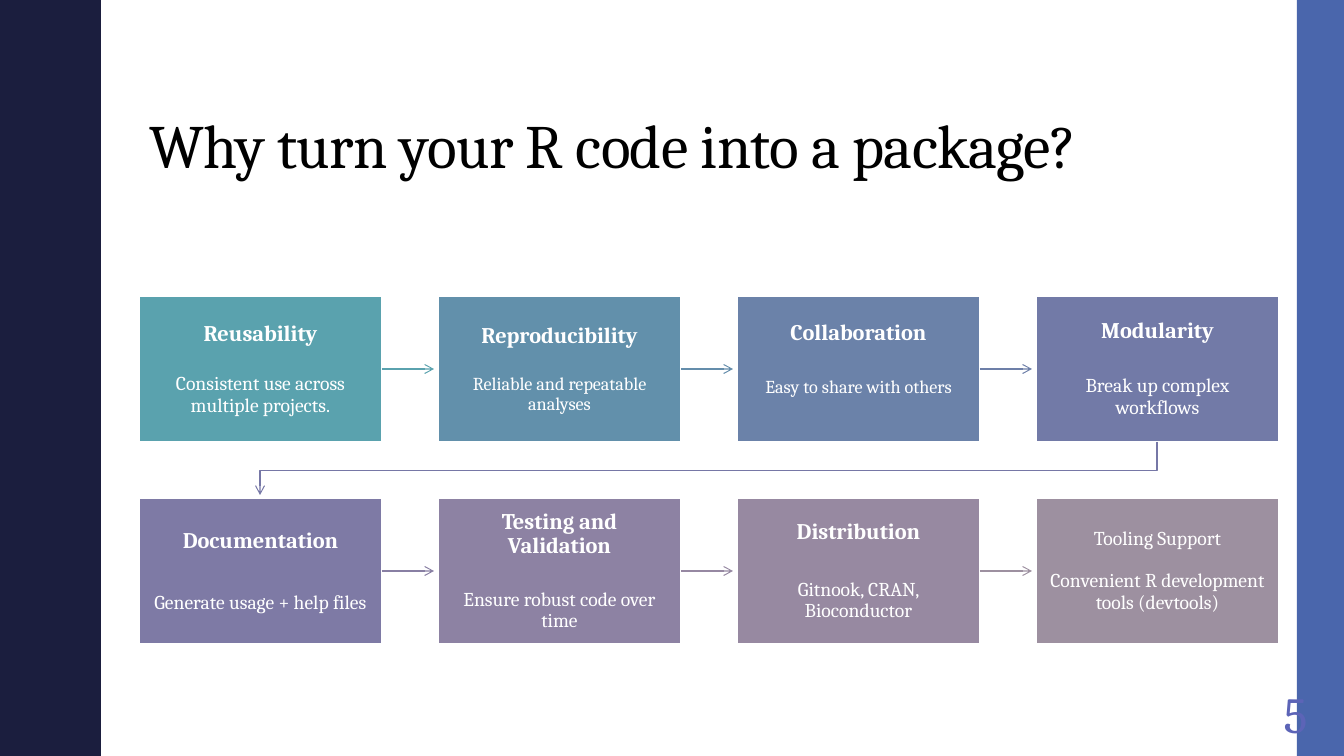
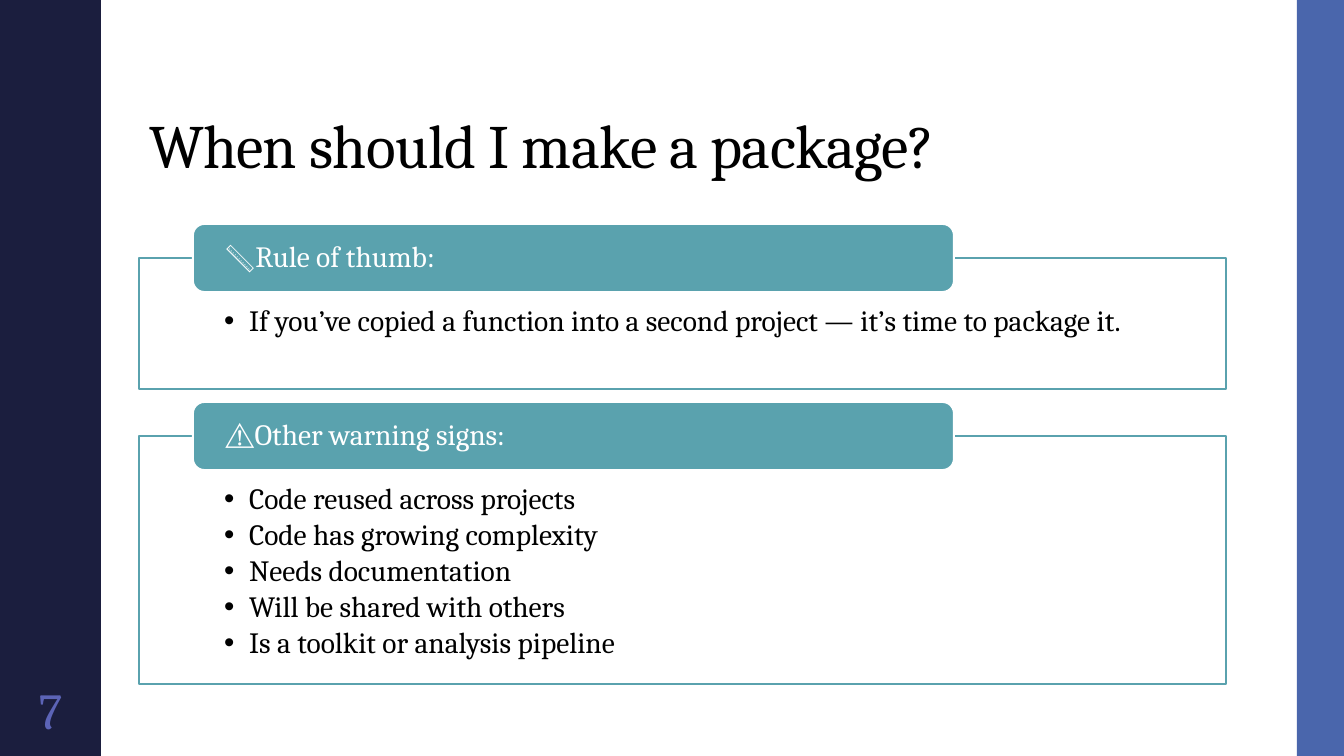
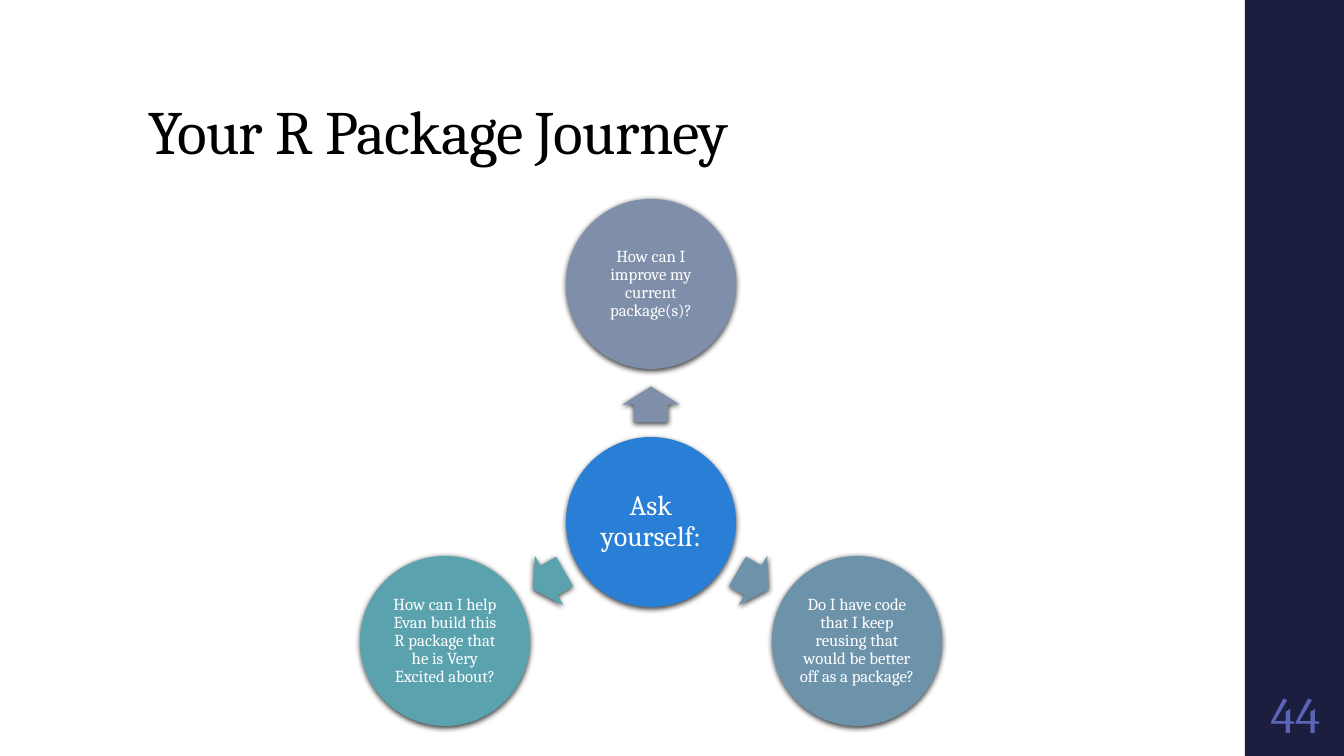
import math

import pptx
import pptx.dml.color
import pptx.enum.shapes
import pptx.enum.text
import pptx.oxml
import pptx.oxml.ns
import pptx.util

SHAPE = pptx.enum.shapes.MSO_SHAPE
ANCHOR = pptx.enum.text.MSO_ANCHOR
ALIGN = pptx.enum.text.PP_ALIGN
PX = 914400 / 100.8  # EMU in one px

WHITE, BLACK = "FFFFFF", "000000"
NAVY, BLUE, TEAL, VIOLET = "1B1E3E", "4A66AC", "5AA2AE", "5C64B7"
WIDTH, HEIGHT = 1344, 756


def emu(px):
    return pptx.util.Emu(round(px * PX))


def color(hex_string):
    return pptx.dml.color.RGBColor.from_string(hex_string)


def element(tag, inner="", **attributes):
    settings = " ".join(f'{name}="{value}"' for name, value in attributes.items())
    namespace = pptx.oxml.ns.nsdecls("a")
    return pptx.oxml.parse_xml(f"<a:{tag} {namespace} {settings}>{inner}</a:{tag}>")


class Deck:
    """Holds the shared style and the slide being built."""

    font = "Cambria"
    spacing = 0.9

    def __init__(self):
        self.presentation = pptx.Presentation()
        self.presentation.slide_width = emu(WIDTH)
        self.presentation.slide_height = emu(HEIGHT)
        self.slide = None

    def new_slide(self, title, title_box):
        self.slide = self.presentation.slides.add_slide(self.presentation.slide_layouts[6])
        frame = self.text_box(*title_box, insets=(10, 5, 10, 5), anchor=ANCHOR.BOTTOM)
        run = self.paragraph(frame, title, 44, BLACK, align=ALIGN.LEFT)
        run.font._element.set("spc", "-50")

    def side_bands(self):
        self.shape(SHAPE.RECTANGLE, 0, 0, 101, HEIGHT, NAVY)
        self.shape(SHAPE.RECTANGLE, 1297, 0, WIDTH - 1297, HEIGHT, BLUE)

    def number(self, text, left, spacing=1.0):
        frame = self.text_box(left, 680, 101, 66, insets=(5, 5, 5, 5))
        self.paragraph(frame, text, 36, VIOLET, spacing=spacing)

    def shape(self, kind, left, top, width, height, fill, line=None, line_width=1.35):
        shape = self.slide.shapes.add_shape(kind, emu(left), emu(top), emu(width), emu(height))
        shape.shadow.inherit = False
        shape.fill.solid()
        shape.fill.fore_color.rgb = color(fill)
        if line:
            shape.line.color.rgb = color(line)
            shape.line.width = pptx.util.Pt(line_width)
        else:
            shape.line.fill.background()
        return shape

    def soft_shadow(self, shape):
        effects = shape._element.spPr.find(pptx.oxml.ns.qn("a:effectLst"))
        effects.append(element(
            "outerShdw", '<a:srgbClr val="000000"><a:alpha val="75000"/></a:srgbClr>',
            blurRad=50800, dist=15240, dir=5400000, rotWithShape=0))

    def text_box(self, left, top, width, height, **layout):
        box = self.slide.shapes.add_textbox(emu(left), emu(top), emu(width), emu(height))
        return self.frame(box, **layout)

    def frame(self, shape, insets, anchor=ANCHOR.MIDDLE):
        frame = shape.text_frame
        frame.word_wrap = True
        frame.vertical_anchor = anchor
        for side, inset in zip(("left", "top", "right", "bottom"), insets):
            setattr(frame, f"margin_{side}", emu(inset))
        return frame

    def paragraph(self, frame, text, size, ink=WHITE, bold=False, align=ALIGN.CENTER,
                  before=0, after=0, spacing=spacing, bullet=False):
        first = frame.paragraphs[0]
        paragraph = frame.add_paragraph() if first.runs else first
        paragraph.alignment = align
        paragraph.line_spacing = spacing
        paragraph.space_before = pptx.util.Pt(before)
        paragraph.space_after = pptx.util.Pt(after)
        if bullet:
            properties = paragraph._p.get_or_add_pPr()
            properties.set("marL", str(emu(25)))
            properties.set("indent", str(emu(-25)))
            properties.append(element("buFont", typeface="Arial"))
            properties.append(element("buChar", char="•"))
        run = paragraph.add_run()
        run.text = text
        run.font.name = self.font
        run.font.size = pptx.util.Pt(size)
        run.font.bold = bold
        run.font.color.rgb = color(ink)
        return run

    def arrow_line(self, line, ink):
        line.color.rgb = color(ink)
        line.width = pptx.util.Pt(0.75)
        line._get_or_add_ln().append(element("tailEnd", type="arrow"))

    def arrow_from(self, box, length, ink):
        """Draws an arrow to the right from the middle of the box's right side."""
        left, top = box.left + box.width, box.top + box.height // 2
        connector = self.slide.shapes.add_connector(
            pptx.enum.shapes.MSO_CONNECTOR.STRAIGHT, left, top, left + emu(length), top)
        connector.begin_connect(box, 3)
        self.arrow_line(connector.line, ink)
        connector._element.spPr.append(element("effectLst"))

    def bent_arrow(self, points, ink):
        (left, top), *rest = [(emu(x), emu(y)) for x, y in points]
        builder = self.slide.shapes.build_freeform(left, top)
        builder.add_line_segments(rest, close=False)
        shape = builder.convert_to_shape()
        shape.shadow.inherit = False
        shape.fill.background()
        self.arrow_line(shape.line, ink)


def reasons_slide(deck):
    deck.new_slide("Why turn your R code into a package?", (139, 41, 1087, 146))
    deck.side_bands()

    # Heading, body, body size, gap in points, fill, arrow colour
    reasons = [
        ("Reusability", "Consistent use across multiple projects.", 14, 20, TEAL, TEAL),
        ("Reproducibility", "Reliable and repeatable analyses", 13, 19, "6290AB", "648DAB"),
        ("Collaboration", "Easy to share with others", 13, 23, "6B82A9", "6D7FA8"),
        ("Modularity", "Break up complex workflows", 14, 23, "727AA7", "7677A6"),
        ("Documentation", "Generate usage + help files", 14, 28, "7E7AA5", "887FA3"),
        ("Testing and Validation", "Ensure robust code over time", 14, 22, "8D82A3", "9688A2"),
        ("Distribution", "Gitnook, CRAN, Bioconductor", 14, 25, "9789A1", "9D90A0"),
        ("Tooling Support", "Convenient R development tools (devtools)", 14, 15, "9D90A0", None),
    ]
    columns, left, top, width, height = 4, 139, 296, 243, 146
    step_x, step_y = 299, 202
    for index, (heading, body, size, gap, fill, ink) in enumerate(reasons):
        row, column = divmod(index, columns)
        box = deck.shape(SHAPE.RECTANGLE, left + column * step_x, top + row * step_y,
                         width, height, fill, WHITE)
        bottom = 32 if heading == "Collaboration" else 12
        frame = deck.frame(box, (12, 12, 12, bottom))
        is_last = index == len(reasons) - 1
        deck.paragraph(frame, heading, 14 if is_last else 16, bold=not is_last)
        deck.paragraph(frame, body, size, before=gap)
        if column < columns - 1:
            deck.arrow_from(box, 52, ink)
        elif not is_last:
            start, end = left + column * step_x + width // 2, left + width // 2
            deck.bent_arrow([(start, top + height), (start, 471), (end, 471),
                             (end, top + step_y - 3)], ink)
    deck.number("5", 1245)


def signs_slide(deck):
    deck.new_slide("When should I make a package?", (139, 41, 1087, 146))
    deck.side_bands()
    deck.number("7", 0, deck.spacing)

    # Outlined lists, each with a label on its top edge
    groups = [
        (258, 131, "📏Rule of thumb:",
         ["If you’ve copied a function into a second project — it’s time to package it."]),
        (436, 248, "⚠️Other warning signs:",
         ["Code reused across projects", "Code has growing complexity", "Needs documentation",
          "Will be shared with others", "Is a toolkit or analysis pipeline"]),
    ]
    for top, height, label, items in groups:
        panel = deck.shape(SHAPE.RECTANGLE, 139, top, 1087, height, WHITE, TEAL, 1.1)
        frame = deck.frame(panel, (85, 48, 85, 16), ANCHOR.TOP)
        for item in items:
            deck.paragraph(frame, item, 21, BLACK, align=ALIGN.LEFT, after=3, bullet=True)
        tab = deck.shape(SHAPE.ROUNDED_RECTANGLE, 193, top - 34, 761, 68, TEAL, WHITE)
        frame = deck.frame(tab, (29, 0, 29, 0))
        deck.paragraph(frame, label, 21, align=ALIGN.LEFT)


def journey_slide(deck):
    deck.new_slide("Your R Package Journey", (139, 41, 1068, 132))
    deck.shape(SHAPE.RECTANGLE, 1245, 0, WIDTH - 1245, HEIGHT, NAVY)

    hub_x, hub_y, diameter = 651, 522, 170

    def place(kind, distance, angle, width, height, fill):
        x = hub_x + distance * math.cos(math.radians(angle))
        y = hub_y + distance * math.sin(math.radians(angle))
        shape = deck.shape(kind, round(x - width / 2), round(y - height / 2), width, height, fill)
        deck.soft_shadow(shape)
        return shape

    def circle(distance, angle, fill, text, size):
        shape = place(SHAPE.OVAL, distance, angle, diameter, diameter, fill)
        deck.paragraph(deck.frame(shape, (2, 2, 2, 2)), text, size)

    # Hub, then an arrow and a question in each direction
    circle(0, 0, "297FD5", "Ask yourself:", 20)
    questions = [
        (270, "7F8FA9", "How can I improve my current package(s)?"),
        (30, "6D93AB", "Do I have code that I keep reusing that would be better off as a package?"),
        (150, TEAL, "How can I help Evan build this R package that he is Very Excited about?"),
    ]
    for angle, fill, question in questions:
        arrow = place(SHAPE.RIGHT_ARROW, 118, angle, 36, 57, fill)
        arrow.rotation = angle
        arrow.adjustments[0], arrow.adjustments[1] = 0.6, 0.5
        circle(238, angle, fill, question, 12)
    deck.number("44", 1245)


def main():
    deck = Deck()
    reasons_slide(deck)
    signs_slide(deck)
    journey_slide(deck)
    deck.presentation.save("out.pptx")


if __name__ == "__main__":
    main()
